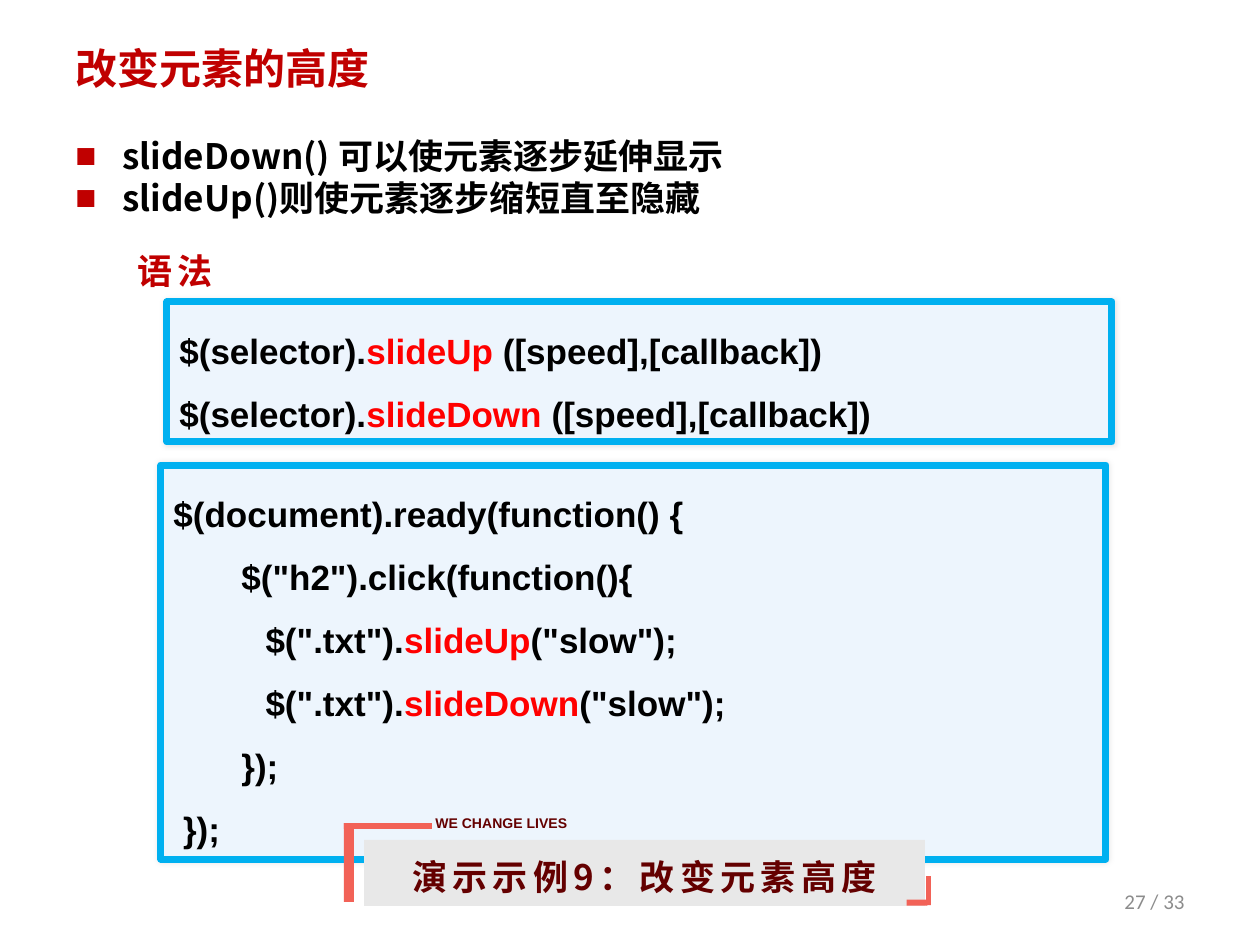
import pptx
import pptx.dml.color
import pptx.enum.shapes
import pptx.enum.text
import pptx.oxml
import pptx.oxml.ns
import pptx.util
from lxml import etree

EMU_PER_PX = 914400 / 126
CJK = "Noto Sans CJK SC"
DARK_RED, CORAL, RED, BLACK = "640000", "F26257", "C00000", "000000"
ALIGN = pptx.enum.text.PP_ALIGN
ANCHOR = pptx.enum.text.MSO_ANCHOR
SHAPES = pptx.enum.shapes.MSO_SHAPE


def px(length):
    return pptx.util.Emu(round(length * EMU_PER_PX))


def color(value):
    return pptx.dml.color.RGBColor.from_string(value)


def add_child(parent, tag, **attributes):
    return etree.SubElement(parent, pptx.oxml.ns.qn(tag), attributes)


def write_text(shape, lines, size, text_color, font=CJK, bold=True, align=ALIGN.LEFT,
               anchor=ANCHOR.TOP, wrap=True, line_spacing=None, tracking=0, bullet=None):
    """Fill a shape with paragraphs; every second part between bars is bright red."""
    frame = shape.text_frame
    frame.word_wrap = wrap
    frame.vertical_anchor = anchor
    for index, line in enumerate(lines):
        paragraph = frame.paragraphs[0] if index == 0 else frame.add_paragraph()
        paragraph.alignment = align
        if line_spacing:
            paragraph.line_spacing = line_spacing
        if bullet:
            add_bullet(paragraph, bullet)
        paragraph.font.size = pptx.util.Pt(size)
        paragraph.font.bold = bold
        paragraph.font.name = font
        paragraph.font.color.rgb = color(text_color)
        properties = paragraph._p.pPr.find(pptx.oxml.ns.qn("a:defRPr"))
        add_child(properties, "a:ea", typeface=font)
        if tracking:
            properties.set("spc", str(tracking * 100))
        for position, part in enumerate(line.split("|")):
            run = paragraph.add_run()
            run.text = part
            if position % 2:
                run.font.color.rgb = color("FF0000")


def add_bullet(paragraph, character):
    properties = paragraph._p.get_or_add_pPr()
    indent = px(47)
    properties.set("marL", str(indent))
    properties.set("indent", str(-indent))
    bullet_color = add_child(properties, "a:buClr")
    add_child(bullet_color, "a:srgbClr", val=RED)
    add_child(properties, "a:buFont", typeface="Arial")
    add_child(properties, "a:buChar", char=character)


def add_text(slide, box, lines, size, text_color, **options):
    shape = slide.shapes.add_textbox(*map(px, box))
    write_text(shape, lines, size, text_color, **options)


def add_block(slide, box, fill, kind=SHAPES.RECTANGLE, rotation=0):
    shape = slide.shapes.add_shape(kind, *map(px, box))
    shape.shadow.inherit = False
    shape.fill.solid()
    shape.fill.fore_color.rgb = color(fill)
    shape.line.fill.background()
    shape.rotation = rotation
    return shape


def add_code_box(slide, box, lines):
    shape = add_block(slide, box, "EDF5FD", SHAPES.ROUNDED_RECTANGLE)
    shape.adjustments[0] = 0
    shape.line.color.rgb = color("00B0F0")
    shape.line.width = pptx.util.Pt(4)
    # Faint shadow around the frame
    effects = shape._element.spPr.find(pptx.oxml.ns.qn("a:effectLst"))
    shadow = add_child(effects, "a:outerShdw", blurRad=str(pptx.util.Pt(3)), dist="0",
                       dir="0", algn="ctr", rotWithShape="0")
    shadow_color = add_child(shadow, "a:srgbClr", val=BLACK)
    add_child(shadow_color, "a:alpha", val="10000")
    write_text(shape, lines, 20, BLACK, font="Arial", line_spacing=1.5)


def add_title(slide, box, text):
    title = slide.shapes.title
    title.left, title.top, title.width, title.height = map(px, box)
    write_text(title, [text], 24, RED, anchor=ANCHOR.MIDDLE)


def add_demo_label(slide):
    label = add_block(slide, (364, 840, 561, 66), "E8E8E8")
    label.text_frame.margin_top = px(16)
    write_text(label, ["演示示例9：改变元素高度"], 20, DARK_RED,
               align=ALIGN.CENTER, tracking=3)
    # Upper left bracket
    add_block(slide, (344, 823, 88, 6), CORAL)
    add_block(slide, (344, 823, 10, 79), CORAL)
    add_text(slide, (423, 808, 166, 30), ["WE CHANGE LIVES"], 8, DARK_RED,
             font="Arial", wrap=False)
    # Lower right bracket
    add_block(slide, (914, 888, 29, 5), CORAL, rotation=270)
    add_block(slide, (914, 892, 6, 21), CORAL, rotation=270)


def main():
    presentation = pptx.Presentation()
    presentation.slide_width, presentation.slide_height = px(1260), px(945)
    slide = presentation.slides.add_slide(presentation.slide_layouts[5])

    # Heading and key points
    add_title(slide, (63, 38, 1134, 60), "改变元素的高度")
    add_text(slide, (63, 128, 1134, 716),
             ["slideDown() 可以使元素逐步延伸显示", "slideUp()则使元素逐步缩短直至隐藏"],
             20, BLACK, bullet="■")

    # Example and syntax
    add_code_box(slide, (161, 465, 945, 394), [
        "$(document).ready(function() {",
        '       $("h2").click(function(){',
        '\t   $(".txt").|slideUp|("slow");',
        '\t   $(".txt").|slideDown|("slow");',
        "       });",
        " });",
    ])
    add_code_box(slide, (167, 302, 945, 140), [
        "$(selector).|slideUp |([speed],[callback])",
        "$(selector).|slideDown |([speed],[callback])",
    ])
    add_text(slide, (125, 243, 129, 55), ["语法"], 20, RED, tracking=3)

    # Demo label and page number
    add_demo_label(slide)
    add_text(slide, (903, 876, 294, 50), ["27 / 33"], 12, "8C8C8C", font="Calibri",
             bold=False, align=ALIGN.RIGHT, anchor=ANCHOR.MIDDLE)

    presentation.save("out.pptx")


if __name__ == "__main__":
    main()
